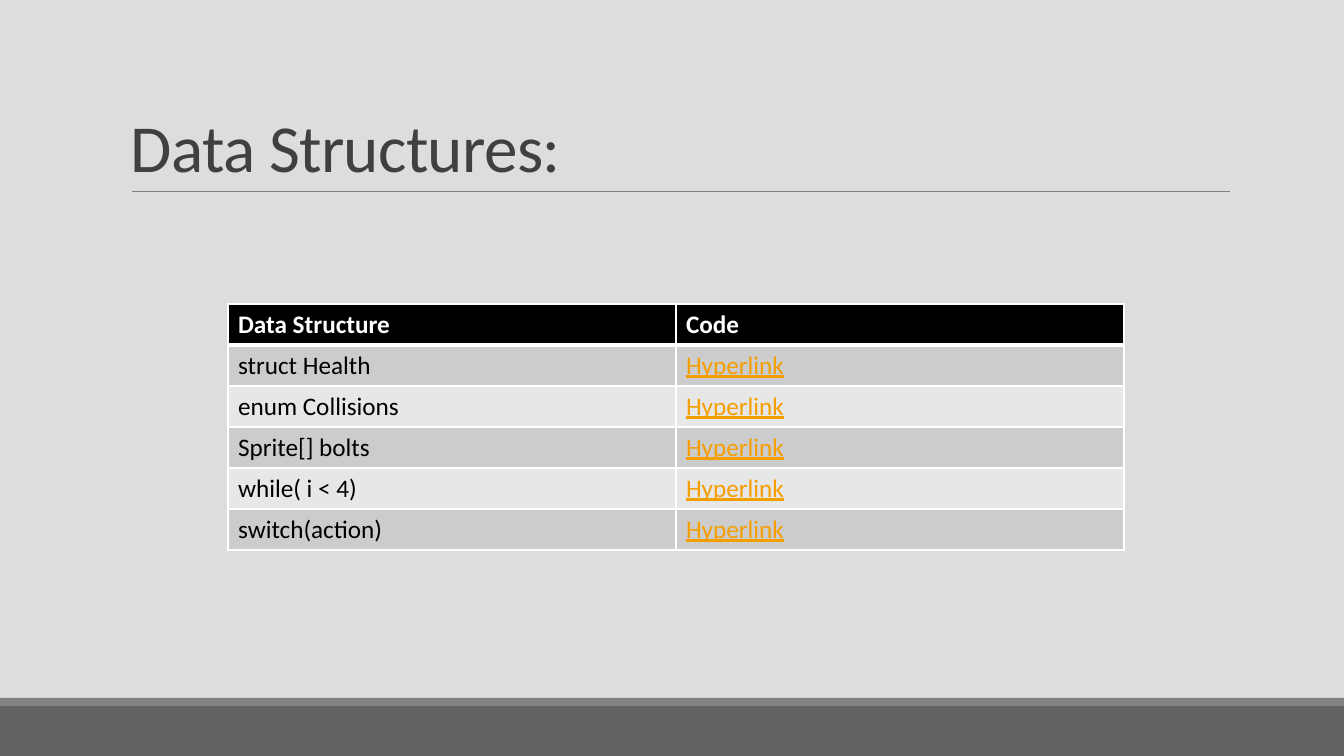
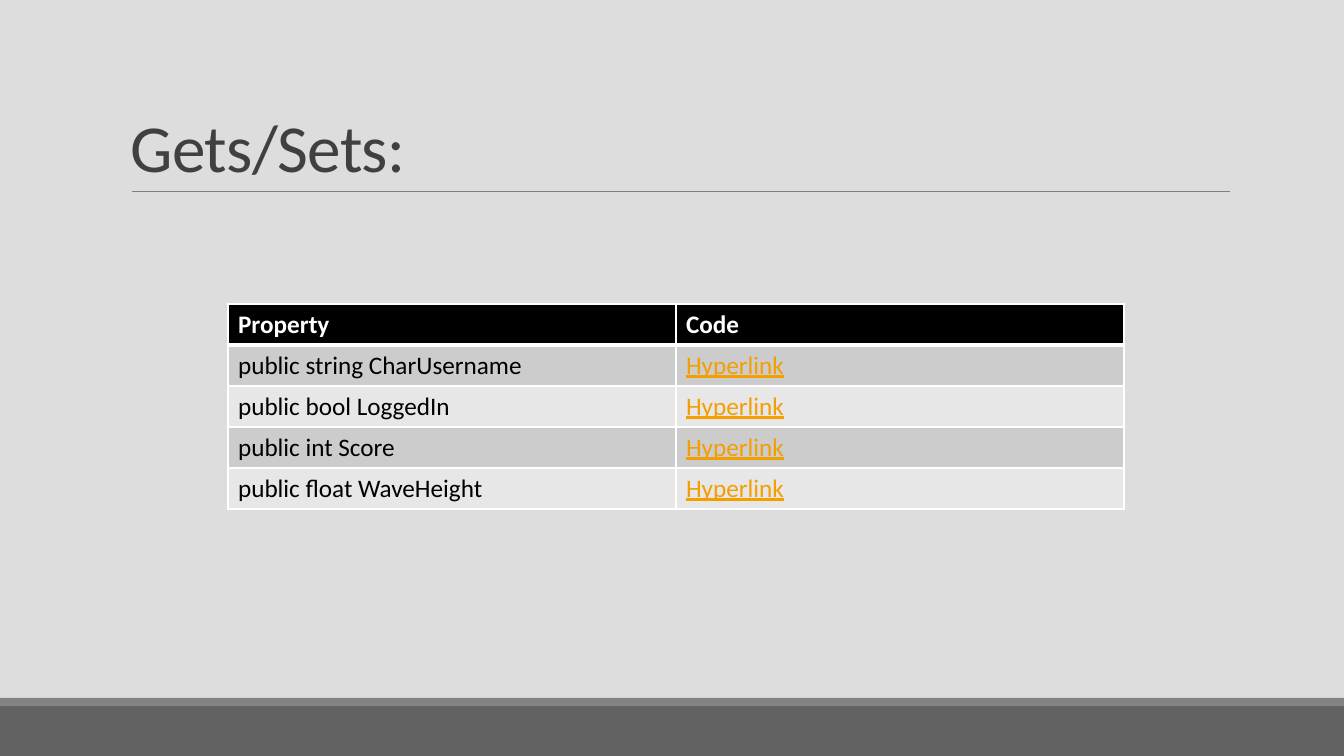
from lxml import etree
from pptx import Presentation
from pptx.dml.color import RGBColor
from pptx.enum.shapes import MSO_CONNECTOR, MSO_SHAPE
from pptx.enum.text import MSO_ANCHOR
from pptx.oxml.ns import qn
from pptx.util import Pt

PX = 914400 / 100.8
WIDE, HIGH = 1344, 756
FONT = "Calibri"
RECT = MSO_SHAPE.RECTANGLE
LINE = MSO_CONNECTOR.STRAIGHT
BOTTOM = MSO_ANCHOR.BOTTOM

PAPER = RGBColor(0xDD, 0xDD, 0xDD)
BAND = RGBColor(0x62, 0x62, 0x62)
STRIP = RGBColor(0x83, 0x83, 0x83)
RULE = RGBColor(0x80, 0x80, 0x80)
TITLE = RGBColor(0x40, 0x40, 0x40)
WHITE = RGBColor(0xFF, 0xFF, 0xFF)
BLACK = RGBColor(0x00, 0x00, 0x00)
DARK = RGBColor(0xCC, 0xCC, 0xCC)
LIGHT = RGBColor(0xE7, 0xE7, 0xE7)
LINK = RGBColor(0xF5, 0x9E, 0x00)

BANDS = [(706, 50, BAND), (698, 8, STRIP)]
LEFT, TOP, COL, ROW = 228, 304, 448, 41
SLIDES = [
    ("Data Structures:", "Data Structure",
     ["struct Health", "enum Collisions", "Sprite[] bolts", "while( i < 4)",
      "switch(action)"]),
    ("Gets/Sets:", "Property",
     ["public string CharUsername", "public bool LoggedIn",
      "public int Score", "public float WaveHeight"]),
]


def px(*nums):
    """Turn pixels into EMU."""
    return [round(n * PX) for n in nums]


def edge(cell, side, width):
    """Draw one white border; call before the cell gets its fill."""
    props = cell._tc.get_or_add_tcPr()
    line = etree.SubElement(props, qn("a:ln" + side), w=str(Pt(width)))
    fill = etree.SubElement(line, qn("a:solidFill"))
    etree.SubElement(fill, qn("a:srgbClr"), val=str(WHITE))


prs = Presentation()
prs.slide_width, prs.slide_height = px(WIDE, HIGH)
back = prs.slide_master.background.fill
back.solid()
back.fore_color.rgb = PAPER

for title, head, names in SLIDES:
    slide = prs.slides.add_slide(prs.slide_layouts[6])
    shapes = slide.shapes

    for top, high, color in BANDS:
        band = shapes.add_shape(RECT, *px(0, top, WIDE, high))
        band.shadow.inherit = False
        band.fill.solid()
        band.fill.fore_color.rgb = color
        band.line.fill.background()

    rule = shapes.add_connector(LINE, *px(132, 191, 1230, 191))
    rule.line.color.rgb = RULE
    rule.line.width = Pt(0.5)
    etree.SubElement(rule._element.spPr, qn("a:effectLst"))

    frame = shapes.add_textbox(*px(121, 31, 1109, 160)).text_frame
    frame.word_wrap = True
    frame.vertical_anchor = BOTTOM
    para = frame.paragraphs[0]
    para.line_spacing = 0.85
    run = para.add_run()
    run.text = title
    run.font.name = FONT
    run.font.size = Pt(48)
    run.font.color.rgb = TITLE
    run._r.get_or_add_rPr().set("spc", "-50")

    rows = [(head, "Code")] + [(name, "Hyperlink") for name in names]
    size = px(LEFT, TOP, 2 * COL, ROW * len(rows))
    table = shapes.add_table(len(rows), 2, *size).table
    for r, row in enumerate(rows):
        for c, text in enumerate(row):
            cell = table.cell(r, c)
            edge(cell, "L", 1)
            edge(cell, "R", 1)
            edge(cell, "T", 3 if r == 1 else 1)
            edge(cell, "B", 3 if r == 0 else 1)
            cell.fill.solid()
            shade = DARK if r % 2 else LIGHT
            cell.fill.fore_color.rgb = shade if r else BLACK

            run = cell.text_frame.paragraphs[0].add_run()
            run.text = text
            font = run.font
            font.name = FONT
            font.size = Pt(18)
            font.bold = r == 0
            font.underline = r > 0 and c == 1
            ink = LINK if c else BLACK
            font.color.rgb = ink if r else WHITE

prs.save("out.pptx")
